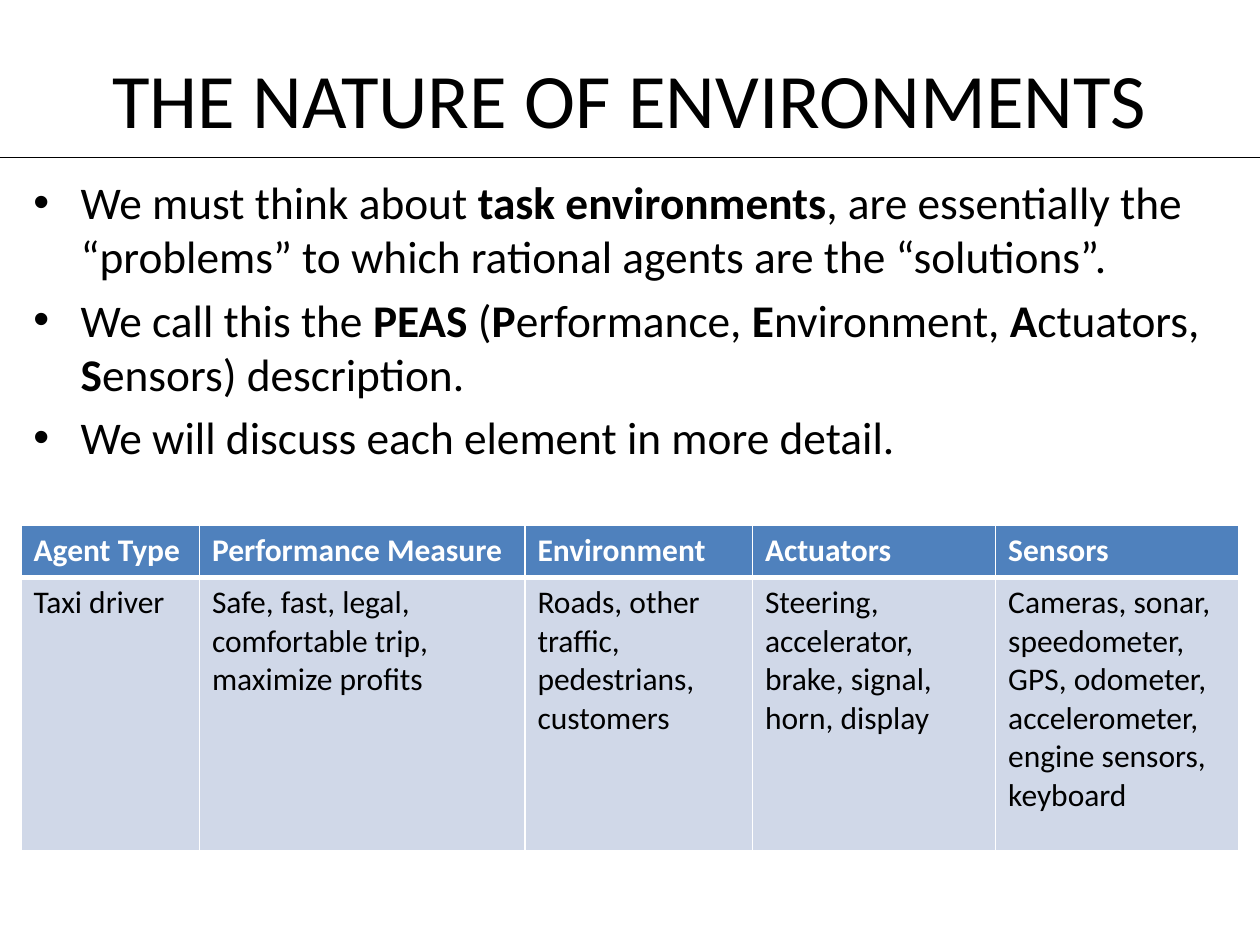
from typing import NamedTuple

from lxml import etree
from pptx import Presentation
from pptx.dml.color import RGBColor
from pptx.enum.shapes import MSO_CONNECTOR
from pptx.enum.text import MSO_ANCHOR, PP_ALIGN
from pptx.oxml.ns import qn
from pptx.util import Pt

STRAIGHT = MSO_CONNECTOR.STRAIGHT
TOP, MIDDLE = MSO_ANCHOR.TOP, MSO_ANCHOR.MIDDLE
LEFT, CENTER = PP_ALIGN.LEFT, PP_ALIGN.CENTER

COLORS = {
    "text": "000000",
    "white": "FFFFFF",
    "header": "4F81BD",
    "body": "D0D8E8",
}
FONT = "Calibri"
PAGE_WIDTH, PAGE_HEIGHT = 720, 540
BULLET_INDENT = 27


class Area(NamedTuple):
    left: float
    top: float
    width: float
    height: float


class Column(NamedTuple):
    heading: str
    detail: str
    width: float


class RowStyle(NamedTuple):
    height: float
    fill: str
    color: str
    bold: bool
    top_border: float
    bottom_border: float


TITLE_AREA = Area(36, 21.6, 648, 68.4)
BULLET_AREA = Area(12, 96, 696, 192)
TABLE_AREA = Area(12, 300, 696, 186)
RULE_TOP = 90

BULLETS = [
    "We must think about *task environments*, are essentially the "
    "“problems” to which rational agents are the “solutions”.",
    "We call this the *PEAS* (*P*erformance, *E*nvironment, *A*ctuators, "
    "*S*ensors) description.",
    "We will discuss each element in more detail.",
]
COLUMNS = [
    Column("Agent Type", "Taxi driver", 102),
    Column("Performance Measure",
           "Safe, fast, legal, comfortable trip, maximize profits", 186),
    Column("Environment", "Roads, other traffic, pedestrians, customers", 130),
    Column("Actuators",
           "Steering, accelerator, brake, signal, horn, display", 139),
    Column("Sensors",
           "Cameras, sonar, speedometer, GPS, odometer, accelerometer, "
           "engine sensors, keyboard", 139),
]
ROW_STYLES = [
    RowStyle(30, "header", "white", True, 1, 3),
    RowStyle(156, "body", "text", False, 3, 1),
]


def write_text(frame, paragraphs: list[str], *, size: float,
               color: str = "text", bold: bool = False, align=LEFT,
               anchor=TOP, space_before: float = 0,
               bulleted: bool = False) -> None:
    frame.word_wrap = True
    frame.vertical_anchor = anchor
    for index, text in enumerate(paragraphs):
        para = frame.add_paragraph() if index else frame.paragraphs[0]
        para.alignment = align
        para.space_before = Pt(space_before)
        if bulleted:
            add_bullet(para)
        for position, piece in enumerate(text.split("*")):
            if not piece:
                continue
            span = para.add_run()
            span.text = piece
            span.font.name = FONT
            span.font.size = Pt(size)
            span.font.bold = bold or position % 2 == 1
            span.font.color.rgb = RGBColor.from_string(COLORS[color])


def add_bullet(para) -> None:
    properties = para._p.get_or_add_pPr()
    properties.set("marL", str(Pt(BULLET_INDENT)))
    properties.set("indent", str(-Pt(BULLET_INDENT)))
    etree.SubElement(properties, qn("a:buFont"), typeface="Arial")
    etree.SubElement(properties, qn("a:buChar"), char="•")


def add_text_box(page, area: Area, paragraphs: list[str], **style) -> None:
    box = page.shapes.add_textbox(*map(Pt, area))
    write_text(box.text_frame, paragraphs, **style)


def add_rule(page, top: float) -> None:
    rule = page.shapes.add_connector(
        STRAIGHT, 0, Pt(top), Pt(PAGE_WIDTH), Pt(top))
    rule.line.color.rgb = RGBColor.from_string(COLORS["text"])
    rule.line.width = Pt(0.75)
    etree.SubElement(rule._element.spPr, qn("a:effectLst"))


def set_borders(cell, style: RowStyle) -> None:
    properties = cell._tc.get_or_add_tcPr()
    widths = {"L": 1, "R": 1, "T": style.top_border, "B": style.bottom_border}
    for index, (side, width) in enumerate(widths.items()):
        border = etree.Element(qn(f"a:ln{side}"), w=str(Pt(width)))
        fill = etree.SubElement(border, qn("a:solidFill"))
        etree.SubElement(fill, qn("a:srgbClr"), val=COLORS["white"])
        properties.insert(index, border)


def add_agent_table(page, area: Area) -> None:
    table = page.shapes.add_table(
        len(ROW_STYLES), len(COLUMNS), *map(Pt, area)).table
    for row_index, style in enumerate(ROW_STYLES):
        table.rows[row_index].height = Pt(style.height)
        for column_index, column in enumerate(COLUMNS):
            table.columns[column_index].width = Pt(column.width)
            cell = table.cell(row_index, column_index)
            cell.fill.solid()
            cell.fill.fore_color.rgb = RGBColor.from_string(COLORS[style.fill])
            set_borders(cell, style)
            write_text(cell.text_frame, [column[row_index]], size=18,
                       color=style.color, bold=style.bold)


def main() -> None:
    deck = Presentation()
    deck.slide_width, deck.slide_height = Pt(PAGE_WIDTH), Pt(PAGE_HEIGHT)
    page = deck.slides.add_slide(deck.slide_layouts[6])
    add_text_box(page, TITLE_AREA, ["THE NATURE OF ENVIRONMENTS"],
                 size=44, align=CENTER, anchor=MIDDLE)
    add_text_box(page, BULLET_AREA, BULLETS,
                 size=25.9, space_before=5, bulleted=True)
    add_rule(page, RULE_TOP)
    add_agent_table(page, TABLE_AREA)
    deck.save("out.pptx")


if __name__ == "__main__":
    main()
